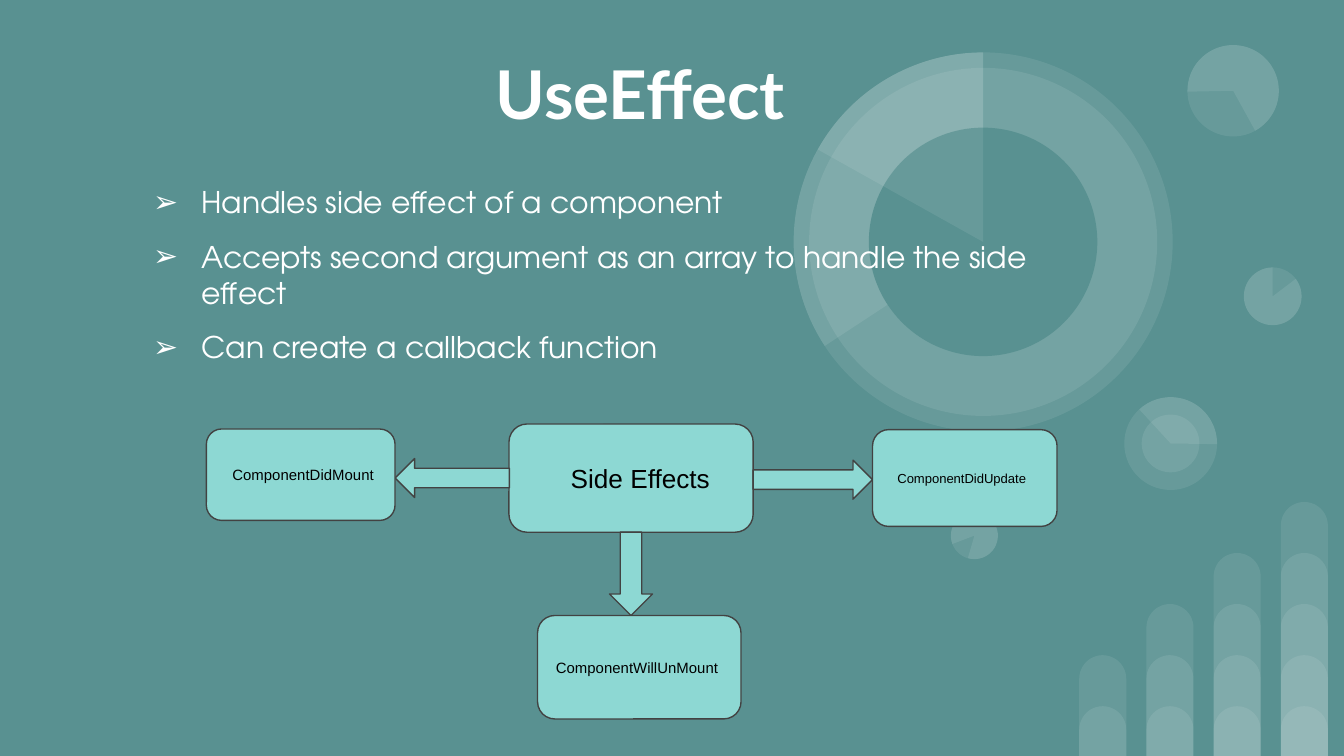
from lxml import etree
from pptx import Presentation, util as u
from pptx.dml.color import RGBColor
from pptx.enum import shapes, text
from pptx.oxml.ns import qn

# Square grid: 100 columns across the slide, 56.25 rows down (16:9)
CELL = u.Inches(0.1)
COLS, ROWS = 100, 56.25
TEAL, MINT, DARK, WHITE, BLACK = "599191", "8DD8D3", "424242", "FFFFFF", "000000"
KIND = shapes.MSO_SHAPE


def grid(n):
    return round(n * CELL)


def paint(fill, color, alpha=None):
    fill.solid()
    fill.fore_color.rgb = RGBColor.from_string(color)
    if alpha:
        node = fill._xPr.find(".//" + qn("a:srgbClr"))
        etree.SubElement(node, qn("a:alpha")).set("val", str(alpha * 1000))


def style(par, font, size, color, bold=False):
    par.alignment = text.PP_ALIGN.LEFT
    par.font.name, par.font.size, par.font.bold = font, u.Pt(size), bold
    par.font.color.rgb = RGBColor.from_string(color)


def frame(shape, anchor):
    tf = shape.text_frame
    tf.word_wrap = True
    tf.auto_size = text.MSO_AUTO_SIZE.NONE
    tf.vertical_anchor = anchor
    tf.margin_left = tf.margin_right = tf.margin_top = tf.margin_bottom = grid(1)
    return tf


def add(slide, kind, area, color, alpha=None, line=None):
    shape = slide.shapes.add_shape(kind, *map(grid, area))
    shape.shadow.inherit = False
    paint(shape.fill, color, alpha)
    if line:
        paint(shape.line.fill, line)
        shape.line.width = u.Pt(0.75)
    else:
        shape.line.fill.background()
    return shape


def disc(slide, mid, size, turn=0, arc=None, color=WHITE, alpha=9):
    """Circle around mid, or a pie slice when arc gives its angles."""
    x, y = mid
    area = (x - size / 2, y - size / 2, size, size)
    shape = add(slide, KIND.PIE if arc else KIND.OVAL, area, color, alpha)
    shape.rotation = turn
    for i, angle in enumerate(arc or ()):
        shape.adjustments[i] = angle * 0.6


def bars(slide):
    """Each column stacks one more overlapping bar than the last."""
    for col in range(4):
        for level in range(col + 2):
            tall = 3.7 + 3.8 * level
            area = (80.3 + 5 * col, ROWS - tall, 3.5, tall)
            bar = add(slide, KIND.ROUND_2_SAME_RECTANGLE, area, WHITE, 9)
            bar.adjustments[0] = 0.5


def rings(slide):
    ring = (73.15, 18)
    disc(slide, ring, 28.2)
    disc(slide, ring, 25.9)
    disc(slide, ring, 28.2, arc=(146.7, 270))
    disc(slide, ring, 17, color=TEAL, alpha=None)
    disc(slide, ring, 28.2, arc=(209.2, 270))

    # Small pies: centre, size, rotation, slice
    hub = (87.1, 33)
    for mid, size, turn, arc in (
        ((94.7, 22.05), 4.3, 0, (322.9, 270)),
        ((72.5, 39.85), 3.5, 196.2, (322.9, 270)),
        (hub, 6.9, 90, (137.4, 270.8)),
        ((91.75, 6.75), 6.8, 215.9, (322.9, 205.2)),
    ):
        disc(slide, mid, size, turn)
        disc(slide, mid, size, turn, arc)
    disc(slide, hub, 4.3)


def place(slide, holder, area):
    """Position a placeholder and bring it in front of the backdrop."""
    holder.left, holder.top, holder.width, holder.height = map(grid, area)
    slide.shapes._spTree.append(holder._element)


def title(slide, words):
    holder = slide.shapes.title
    place(slide, holder, (35.9, 1.65, 27.1, 10.5))
    tf = frame(holder, text.MSO_ANCHOR.MIDDLE)
    tf.text = words
    style(tf.paragraphs[0], "Lato", 36, WHITE, True)


def points(slide, items):
    holder = slide.placeholders[1]
    place(slide, holder, (9, 12.7, 72.5, 15))
    tf = frame(holder, text.MSO_ANCHOR.TOP)
    tf.text = "\n".join(items)
    for par in tf.paragraphs:
        style(par, "TeX Gyre Adventor", 16, WHITE)
        par.space_before = u.Pt(10)
        props = par._p.get_or_add_pPr()
        props.set("marL", str(grid(5)))
        props.set("indent", str(grid(-3.6)))
        tint = etree.SubElement(props, qn("a:buClr"))
        etree.SubElement(tint, qn("a:srgbClr")).set("val", WHITE)
        etree.SubElement(props, qn("a:buChar")).set("char", "➢")
        # The default run properties must follow the bullet
        props.append(props.find(qn("a:defRPr")))


def box(slide, words, area, size, inset=0):
    shape = add(slide, KIND.ROUNDED_RECTANGLE, area, MINT, line=DARK)
    tf = frame(shape, text.MSO_ANCHOR.MIDDLE)
    tf.margin_left = grid(1 + inset)
    tf.text = words
    style(tf.paragraphs[0], "Arial", size, BLACK)


def arrow(slide, kind, area):
    add(slide, kind, area, MINT, line=DARK)


def main():
    prs = Presentation()
    prs.slide_width, prs.slide_height = grid(COLS), grid(ROWS)
    slide = prs.slides.add_slide(prs.slide_layouts[1])

    # Backdrop
    paint(slide.background.fill, TEAL)
    bars(slide)
    rings(slide)

    # Heading and list
    title(slide, "UseEffect")
    points(slide, (
        "Handles side effect of a component",
        "Accepts second argument as an array to handle the side effect",
        "Can create a callback function",
    ))

    # Diagram
    box(slide, "Side Effects", (37.87, 31.55, 18.17, 8.05), 14, 3.2)
    arrow(slide, KIND.LEFT_ARROW, (29.4, 34.12, 8.5, 2.9))
    arrow(slide, KIND.DOWN_ARROW, (45.35, 39.6, 3.2, 6.2))
    arrow(slide, KIND.RIGHT_ARROW, (56.04, 34.24, 8.88, 2.9))
    box(slide, "ComponentDidMount", (15.36, 31.92, 14.04, 6.8), 8, 0.6)
    box(slide, "ComponentDidUpdate", (64.92, 31.97, 13.73, 7.2), 7, 0.5)
    box(slide, "ComponentWillUnMount", (40, 45.8, 15.14, 7.7), 8)

    prs.save("out.pptx")


if __name__ == "__main__":
    main()
